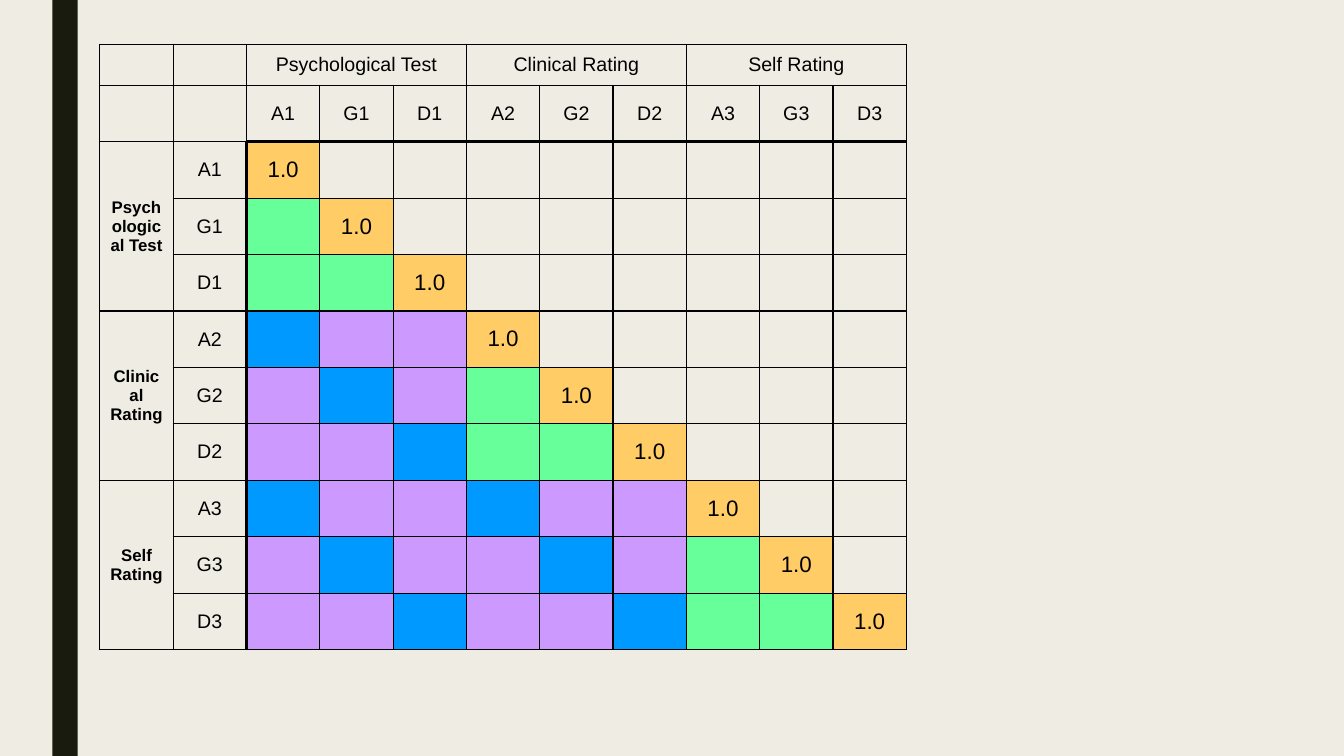
from dataclasses import dataclass
from typing import Optional

from lxml import etree
from pptx import Presentation
from pptx.dml.color import RGBColor
from pptx.enum.shapes import MSO_SHAPE
from pptx.enum.text import MSO_ANCHOR, PP_ALIGN
from pptx.oxml.ns import qn
from pptx.util import Inches, Pt

RECT = MSO_SHAPE.RECTANGLE
MIDDLE, CENTER = MSO_ANCHOR.MIDDLE, PP_ALIGN.CENTER


@dataclass(frozen=True)
class Theme:
    background: str = "EFEDE3"
    stripe: str = "191B0E"
    ink: str = "000000"
    reliability: str = "FFCC66"
    same_method: str = "66FF99"
    same_trait: str = "0099FF"
    unrelated: str = "CC99FF"
    font: str = "Arial"
    method_size: int = 12
    label_size: int = 14
    value_size: int = 16
    thin: int = 1
    thick: int = 2


@dataclass(frozen=True)
class Label:
    row: int
    col: int
    text: str
    size: int
    bold: bool = False
    vert: Optional[str] = None


THEME = Theme()
METHODS = ["Psychological Test", "Clinical Rating", "Self Rating"]
TRAITS = ["A", "G", "D"]
BLOCK = len(TRAITS)
MEASURES = [f"{trait}{m}" for m in range(1, len(METHODS) + 1) for trait in TRAITS]
HEAD = 2  # heading rows above and heading columns left of the matrix
SIZE = HEAD + len(MEASURES)
TABLE_LEFT, TABLE_TOP, TABLE_WIDTH = 0.99, 0.44, 8
TOP_ROW, ROW = 0.31, 0.56


def matrix_color(i: int, j: int) -> Optional[str]:
    """Fill of the cell for measures i and j; the upper triangle is empty."""
    if j > i:
        return None
    if i == j:
        return THEME.reliability
    if i // BLOCK == j // BLOCK:
        return THEME.same_method
    return THEME.same_trait if i % BLOCK == j % BLOCK else THEME.unrelated


def set_borders(cell, row: int, col: int) -> None:
    """Thin grid, with heavier rules where the matrix meets its labels."""
    in_rows, in_cols = row >= HEAD, col >= HEAD
    heavy = {
        "a:lnL": in_rows and col == HEAD,
        "a:lnR": in_rows and col == HEAD - 1,
        "a:lnT": in_cols and row == HEAD,
        "a:lnB": in_cols and row == HEAD - 1,
    }
    tc_pr = cell._tc.get_or_add_tcPr()
    for index, (tag, is_heavy) in enumerate(heavy.items()):
        width = Pt(THEME.thick if is_heavy else THEME.thin)
        line = etree.Element(qn(tag), w=str(width))
        fill = etree.SubElement(line, qn("a:solidFill"))
        etree.SubElement(fill, qn("a:srgbClr"), val=THEME.ink)
        tc_pr.insert(index, line)


def write_label(table, label: Label) -> None:
    cell = table.cell(label.row, label.col)
    cell.vertical_anchor = MIDDLE
    if label.vert:
        cell._tc.get_or_add_tcPr().set("vert", label.vert)
    p = cell.text_frame.paragraphs[0]
    p.alignment = CENTER
    r = p.add_run()
    r.text = label.text
    formats = {"name": THEME.font, "size": Pt(label.size), "bold": label.bold}
    for name, value in formats.items():
        setattr(r.font, name, value)
    r.font.color.rgb = RGBColor.from_string(THEME.ink)


def add_matrix(slide) -> None:
    height = TOP_ROW + ROW * (SIZE - 1)
    frame = slide.shapes.add_table(
        SIZE, SIZE, Inches(TABLE_LEFT), Inches(TABLE_TOP),
        Inches(TABLE_WIDTH), Inches(height))
    table = frame.table
    table.first_row = table.horz_banding = False
    for column in table.columns:
        column.width = Inches(TABLE_WIDTH / SIZE)
    for index, row in enumerate(table.rows):
        row.height = Inches(ROW if index else TOP_ROW)

    # Fills and borders
    for row in range(SIZE):
        for col in range(SIZE):
            cell = table.cell(row, col)
            color = None
            if min(row, col) >= HEAD:
                color = matrix_color(row - HEAD, col - HEAD)
            if color:
                cell.fill.solid()
                cell.fill.fore_color.rgb = RGBColor.from_string(color)
            else:
                cell.fill.background()
            set_borders(cell, row, col)

    # Method headings, each spanning its block of traits
    labels = []
    for index, method in enumerate(METHODS):
        start = HEAD + index * BLOCK
        end = start + BLOCK - 1
        table.cell(0, start).merge(table.cell(0, end))
        table.cell(start, 0).merge(table.cell(end, 0))
        labels += [Label(0, start, method, THEME.label_size),
                   Label(start, 0, method, THEME.method_size, True, "eaVert")]

    # Measure names on both sides and the diagonal values
    for at, measure in enumerate(MEASURES, HEAD):
        labels += [Label(1, at, measure, THEME.label_size),
                   Label(at, 1, measure, THEME.label_size),
                   Label(at, at, "1.0", THEME.value_size)]
    for label in labels:
        write_label(table, label)


def add_stripe(slide, left: float, width: float, height: int) -> None:
    sp = slide.shapes.add_shape(RECT, Inches(left), 0, Inches(width), height)
    sp.shadow.inherit = False
    sp.fill.solid()
    sp.fill.fore_color.rgb = RGBColor.from_string(THEME.stripe)
    sp.line.fill.background()


# Slide
prs = Presentation()
prs.slide_width, prs.slide_height = Inches(13.33), Inches(7.5)
slide = prs.slides.add_slide(prs.slide_layouts[6])
slide.background.fill.solid()
slide.background.fill.fore_color.rgb = RGBColor.from_string(THEME.background)

# Side stripe and correlation matrix
add_stripe(slide, 0.52, 0.25, prs.slide_height)
add_matrix(slide)

prs.save("out.pptx")
